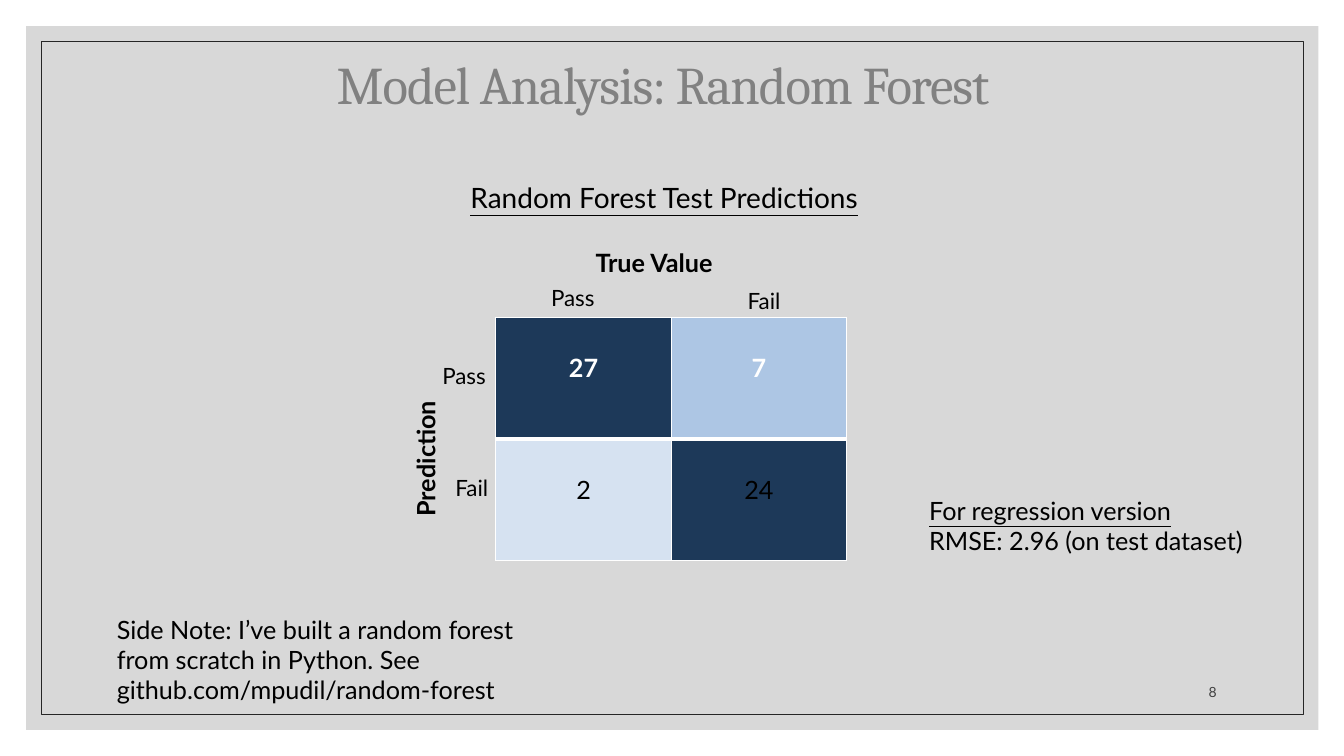
"""Build the random forest model analysis slide."""
from lxml.etree import SubElement
from pptx import Presentation
from pptx.dml.color import RGBColor
from pptx.enum.shapes import MSO_SHAPE
from pptx.enum.text import MSO_ANCHOR, MSO_AUTO_SIZE, PP_ALIGN
from pptx.oxml import parse_xml
from pptx.oxml.ns import nsdecls, qn
from pptx.util import Pt

BLACK = RGBColor(0, 0, 0)
WHITE = RGBColor(255, 255, 255)
INK = RGBColor(0x26, 0x26, 0x26)
GREY = RGBColor(0x40, 0x40, 0x40)
PANEL = RGBColor(0xBF, 0xBF, 0xBF)
NAVY = RGBColor(0x1D, 0x39, 0x59)
SKY = RGBColor(0xAD, 0xC6, 0xE4)
PALE = RGBColor(0xD6, 0xE2, 0xF1)

TITLE = "Model Analysis: Random Forest"
CONFUSION = [
    [("27", NAVY), ("7", SKY)],
    [("2", PALE), ("24", NAVY)],
]
ROW_FORMATS = [
    {"color": WHITE, "bold": True, "bottom_border": 3},
    {"color": BLACK, "bold": False, "bottom_border": 1},
]
AXIS = {"size": 18, "bold": True}
CLASS = {"size": 16}
LABELS = [
    (["True Value"], (418.3, 172.8, 124, 29), AXIS),
    (["Pass"], (386.6, 199.4, 73, 26.6), CLASS),
    (["Fail"], (527, 201.6, 73, 26.6), CLASS),
    (["Pass"], (308.9, 254.9, 73, 26.6), CLASS),
    (["Fail"], (318.2, 334.8, 73, 26.6), CLASS),
    (["Prediction"], (241.9, 299.5, 124, 29), {**AXIS, "rotation": 270}),
    (["Random Forest Test Predictions"], (329, 125.3, 302, 31.5),
     {"size": 20, "underlined": 1}),
    (["Side Note: I’ve built a random forest from scratch in Python. "
      "See github.com/mpudil/random-forest"], (76.3, 434.9, 320.4, 72.7), {"size": 18}),
    (["For regression version", "RMSE: 2.96 (on test dataset)"],
     (656.6, 349.9, 239, 94.3), {"size": 18, "underlined": 1}),
    (["8"], (810, 475.2, 66.2, 28.8),
     {"size": 10, "color": GREY, "align": PP_ALIGN.RIGHT, "anchor": MSO_ANCHOR.BOTTOM}),
]
TABLE_LEFT, TABLE_TOP = 354.2, 226.8
CELL_WIDTH, CELL_HEIGHT = 125.3, 86.8


def write(frame, lines, size=18, font="Lato", color=BLACK, bold=False,
          underlined=0, align=PP_ALIGN.LEFT):
    """Write lines into a frame, underlining the first few of them."""
    for index, line in enumerate(lines):
        paragraph = frame.paragraphs[0] if index == 0 else frame.add_paragraph()
        paragraph.alignment = align
        run = paragraph.add_run()
        run.text = line
        run.font.name = font
        run.font.size = Pt(size)
        run.font.bold = bold
        run.font.underline = index < underlined
        run.font.color.rgb = color


def add_label(slide, lines, place, rotation=0, anchor=MSO_ANCHOR.TOP, **text_format):
    """Add a wrapped text box."""
    label = slide.shapes.add_textbox(*map(Pt, place))
    label.rotation = rotation
    label.text_frame.word_wrap = True
    label.text_frame.vertical_anchor = anchor
    write(label.text_frame, lines, **text_format)


def add_panel(slide, inset_x, inset_y, width, height):
    """Add a plain rectangle without shadow."""
    panel = slide.shapes.add_shape(
        MSO_SHAPE.RECTANGLE, Pt(inset_x), Pt(inset_y), Pt(width), Pt(height))
    panel.shadow.inherit = False
    return panel


def add_backdrop(slide):
    """Add the translucent panel and the thin frame inside it."""
    panel = add_panel(slide, 18.7, 18.7, 923, 502.6)
    panel.fill.solid()
    panel.fill.fore_color.rgb = PANEL
    panel.line.fill.background()
    tint = panel.fill._xPr.find(qn("a:solidFill")).find(qn("a:srgbClr"))
    SubElement(tint, qn("a:alpha"), val="60000")
    border = add_panel(slide, 29.5, 29.5, 901.4, 481)
    border.fill.background()
    border.line.color.rgb = INK
    border.line.width = Pt(0.5)


def border_cell(cell, widths):
    """Draw white cell borders, given widths by side."""
    properties = cell._tc.get_or_add_tcPr()
    for index, (side, width) in enumerate(widths.items()):
        properties.insert(index, parse_xml(
            f'<a:ln{side} {nsdecls("a")} w="{Pt(width)}"><a:solidFill>'
            f'<a:srgbClr val="{WHITE}"/></a:solidFill></a:ln{side}>'))


def add_confusion_matrix(slide):
    """Add the table of predicted against true classes."""
    rows, columns = len(CONFUSION), len(CONFUSION[0])
    matrix = slide.shapes.add_table(
        rows, columns, Pt(TABLE_LEFT), Pt(TABLE_TOP),
        Pt(columns * CELL_WIDTH), Pt(rows * CELL_HEIGHT)).table
    for row, (counts, row_format) in enumerate(zip(CONFUSION, ROW_FORMATS)):
        top_border = ROW_FORMATS[row - 1]["bottom_border"] if row else 1
        for column, (count, fill) in enumerate(counts):
            cell = matrix.cell(row, column)
            cell.fill.solid()
            cell.fill.fore_color.rgb = fill
            cell.margin_top = Pt(25.2)
            write(cell.text_frame, [count], color=row_format["color"],
                  bold=row_format["bold"], align=PP_ALIGN.CENTER)
            border_cell(cell, {"L": 1, "R": 1, "T": top_border,
                               "B": row_format["bottom_border"]})


def add_title(slide):
    """Place and format the title placeholder."""
    title = slide.shapes.title
    title.left, title.top, title.width, title.height = map(Pt, (77.6, 42.5, 792, 40.3))
    frame = title.text_frame
    frame.auto_size = MSO_AUTO_SIZE.NONE
    frame.vertical_anchor = MSO_ANCHOR.MIDDLE
    write(frame, [TITLE], size=37.8, font="Cambria", color=INK, align=PP_ALIGN.CENTER)
    heading = frame.paragraphs[0]
    heading.line_spacing = 0.9
    heading.runs[0].font._element.set("spc", "-70")


def main():
    """Assemble and save the slide."""
    deck = Presentation()
    deck.slide_width, deck.slide_height = Pt(960), Pt(540)
    slide = deck.slides.add_slide(deck.slide_layouts[5])
    add_backdrop(slide)
    add_title(slide)
    add_confusion_matrix(slide)
    for lines, place, label_format in LABELS:
        add_label(slide, lines, place, **label_format)
    deck.save("out.pptx")


if __name__ == "__main__":
    main()
